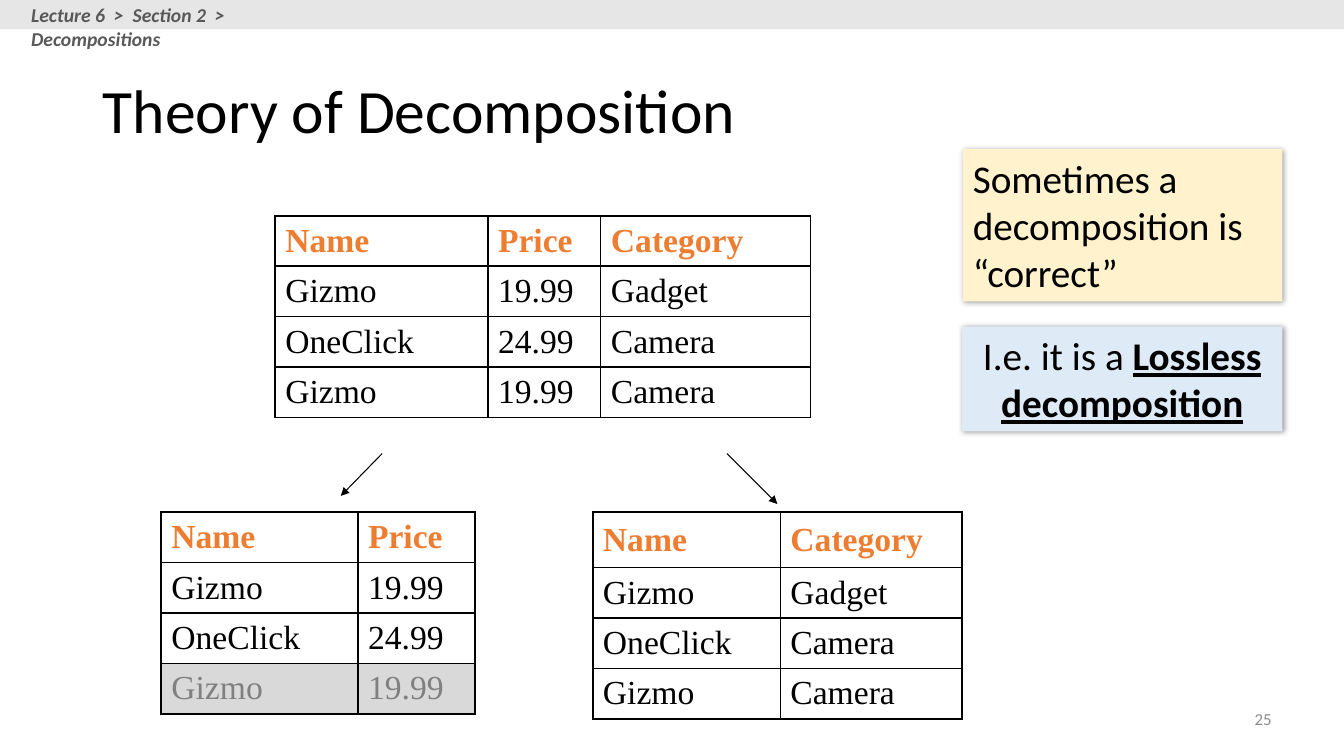
from lxml import etree
from pptx import Presentation
from pptx import util as u
from pptx.dml.color import RGBColor
from pptx.enum import shapes, text
from pptx.oxml import parse_xml
from pptx.oxml.ns import nsdecls, qn

COLORS = {
    "black": "000000", "orange": "ED7D31", "faded": "808080",
    "faded_fill": "D9D9D9", "yellow": "FFF2CC", "blue": "DEEBF7",
    "bar": "E7E6E6", "breadcrumb": "595959", "number": "8C8C8C",
}
ROW_HEIGHT = 0.47


def color(name):
    return RGBColor.from_string(COLORS[name])


def style(font, size, tint="black", name="Calibri", bold=False, italic=False):
    font.size, font.name = u.Pt(size), name
    font.bold, font.italic = bold, italic
    font.color.rgb = color(tint)


def add_rectangle(page, box, fill):
    panel = page.shapes.add_shape(shapes.MSO_SHAPE.RECTANGLE, *map(u.Inches, box))
    panel.shadow.inherit = False
    panel.fill.solid()
    panel.fill.fore_color.rgb = color(fill)
    panel.line.fill.background()
    return panel


# Header bar with the breadcrumb
def add_header(page, box):
    left, top, width, height = box
    add_rectangle(page, box, "bar")
    crumb = page.shapes.add_textbox(*map(u.Inches, (left + 0.21, top, 3.44, height + 0.2)))
    frame = crumb.text_frame
    frame.word_wrap = True
    frame.margin_right, frame.margin_top = u.Inches(1), u.Inches(0.03)
    para = frame.paragraphs[0]
    para.text = "Lecture 6  >  Section 2  >  Decompositions"
    style(para.font, 14, "breadcrumb", bold=True, italic=True)


def add_title(page, box):
    title = page.shapes.title
    title.left, title.top, title.width, title.height = map(u.Inches, box)
    frame = title.text_frame
    frame.auto_size = text.MSO_AUTO_SIZE.NONE
    frame.vertical_anchor = text.MSO_ANCHOR.MIDDLE
    para = frame.paragraphs[0]
    para.text = "Theory of Decomposition"
    para.alignment = text.PP_ALIGN.LEFT
    para.line_spacing = 0.9
    style(para.font, 44)


def set_borders(cell, widths):
    """Widths in points, in the order left, right, top, bottom."""
    properties = cell._tc.get_or_add_tcPr()
    for index, (side, width) in enumerate(zip("LRTB", widths)):
        properties.insert(index, parse_xml(
            f'<a:ln{side} {nsdecls("a")} w="{u.Pt(width)}"><a:solidFill>'
            f'<a:srgbClr val="{COLORS["black"]}"/></a:solidFill></a:ln{side}>'))


# Relation table: heavy frame and header rule, light inner lines
def add_relation(page, left, top, widths, rows, header_height=ROW_HEIGHT, faded_row=None):
    heights = [header_height] + [ROW_HEIGHT] * (len(rows) - 1)
    table = page.shapes.add_table(
        len(rows), len(widths), u.Inches(left), u.Inches(top),
        u.Inches(sum(widths)), u.Inches(sum(heights))).table
    table.first_row = table.horz_banding = False
    for column, width in zip(table.columns, widths):
        column.width = u.Inches(width)
    for i, (row, height) in enumerate(zip(rows, heights)):
        table.rows[i].height = u.Inches(height)
        for j, value in enumerate(row):
            cell = table.cell(i, j)
            cell.vertical_anchor = text.MSO_ANCHOR.MIDDLE
            if i == faded_row:
                cell.fill.solid()
                cell.fill.fore_color.rgb = color("faded_fill")
            else:
                cell.fill.background()
            para = cell.text_frame.paragraphs[0]
            para.text = value
            tint = "orange" if i == 0 else "faded" if i == faded_row else "black"
            style(para.font, 24, tint, "Times New Roman", bold=i == 0)
            heavy = (j == 0, j == len(widths) - 1, i <= 1, i in (0, len(rows) - 1))
            set_borders(cell, [1.5 if edge else 1 for edge in heavy])


def add_arrow(page, start, end):
    arrow = page.shapes.add_connector(
        shapes.MSO_CONNECTOR.STRAIGHT, *map(u.Inches, start + end))
    arrow.line.color.rgb = color("black")
    arrow.line.width = u.Pt(0.75)
    etree.SubElement(arrow.line._get_or_add_ln(), qn("a:tailEnd"), type="triangle")
    etree.SubElement(arrow._element.spPr, qn("a:effectLst"))


# Shadowed note; spans are (wording, emphasised) pairs
def add_note(page, box, fill, alignment, spans):
    note = add_rectangle(page, box, fill)
    effects = note._element.spPr.find(qn("a:effectLst"))
    effects.append(parse_xml(
        f'<a:outerShdw {nsdecls("a")} blurRad="{u.Pt(4)}" dist="{u.Pt(1)}" dir="2700000">'
        f'<a:srgbClr val="{COLORS["black"]}"><a:alpha val="40000"/></a:srgbClr></a:outerShdw>'))
    frame = note.text_frame
    frame.word_wrap = True
    frame.vertical_anchor = text.MSO_ANCHOR.TOP
    para = frame.paragraphs[0]
    para.alignment = alignment
    style(para.font, 28)
    for wording, emphasised in spans:
        span = para.add_run()
        span.text = wording
        style(span.font, 28, bold=emphasised)
        span.font.underline = emphasised


def add_page_number(page, box):
    number = page.shapes.add_textbox(*map(u.Inches, box))
    frame = number.text_frame
    frame.word_wrap = True
    frame.vertical_anchor = text.MSO_ANCHOR.MIDDLE
    para = frame.paragraphs[0]
    para.text = "25"
    para.alignment = text.PP_ALIGN.RIGHT
    style(para.font, 12, "number")


def build_decomposition(page):
    products = [
        ("Name", "Price", "Category"),
        ("Gizmo", "19.99", "Gadget"),
        ("OneClick", "24.99", "Camera"),
        ("Gizmo", "19.99", "Camera"),
    ]
    prices = [(name, price) for name, price, _ in products]
    categories = [(name, category) for name, _, category in products]

    add_page_number(page, (10.38, 6.93, 2.33, 0.4))
    add_title(page, (0.92, 0.4, 11.5, 1.45))
    # The full relation and its two projections
    add_relation(page, 2.73, 2.14, (2.11, 1.12, 2.08), products)
    add_relation(page, 1.6, 5.08, (1.95, 1.16), prices, faded_row=3)
    add_relation(page, 5.88, 5.08, (1.86, 1.8), categories, header_height=0.55)
    add_arrow(page, (3.79, 4.5), (3.38, 4.92))
    add_arrow(page, (7.21, 4.5), (7.71, 5))
    # Side notes
    add_note(page, (9.54, 3.24, 3.18, 1.04), "blue", text.PP_ALIGN.CENTER,
             [("I.e. it is a ", False), ("Lossless decomposition", True)])
    add_note(page, (9.55, 1.48, 3.17, 1.51), "yellow", text.PP_ALIGN.LEFT,
             [("Sometimes a decomposition is “correct”", False)])
    add_header(page, (0, 0, 13.33, 0.29))


def main():
    deck = Presentation()
    deck.slide_width, deck.slide_height = u.Inches(13.33), u.Inches(7.5)
    build_decomposition(deck.slides.add_slide(deck.slide_layouts[5]))
    deck.save("out.pptx")


if __name__ == "__main__":
    main()
